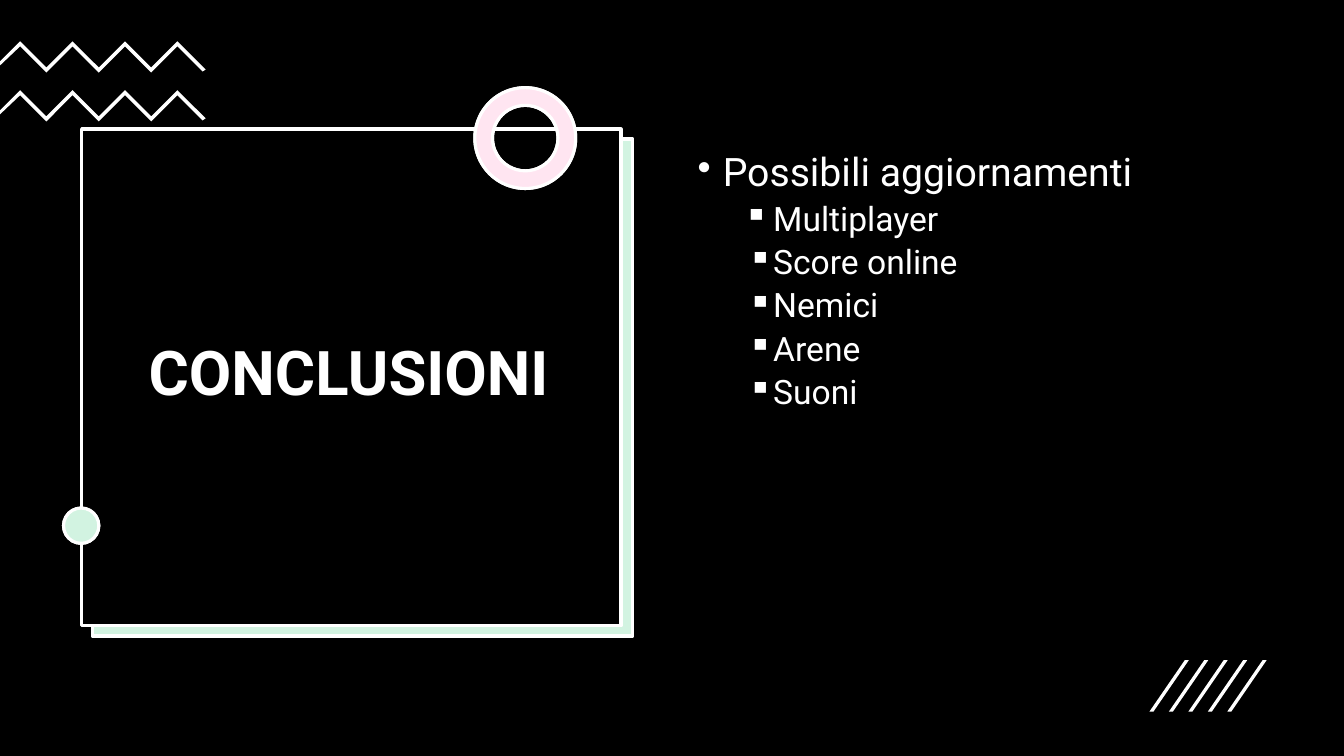
import dataclasses

import lxml.etree
import pptx
import pptx.dml.color
import pptx.enum.shapes
import pptx.enum.text
import pptx.oxml.ns
import pptx.util

SHAPE = pptx.enum.shapes.MSO_SHAPE
COLUMNS, ROWS = 133.3, 75  # grid of tenth-of-an-inch cells


@dataclasses.dataclass(frozen=True)
class Theme:
    ground: str = "000000"
    ink: str = "FFFFFF"
    green: str = "21C46B"
    pink: str = "FF80BD"
    tint_opacity: int = 20
    font: str = "Roboto"
    title_size: float = 44
    topic_size: float = 28
    item_size: float = 24
    outline: float = 2.25


THEME = Theme()


def cells(count):
    return pptx.util.Inches(count / 10)


def rgb(code):
    return pptx.dml.color.RGBColor.from_string(code)


def paint(shape, color, opacity=100, outlined=True):
    shape.shadow.inherit = False
    shape.fill.solid()
    shape.fill.fore_color.rgb = rgb(color)
    if opacity < 100:
        color_node = shape.fill._xPr.find(".//" + pptx.oxml.ns.qn("a:srgbClr"))
        alpha = lxml.etree.SubElement(color_node, pptx.oxml.ns.qn("a:alpha"))
        alpha.set("val", str(opacity * 1000))
    if outlined:
        shape.line.color.rgb = rgb(THEME.ink)
        shape.line.width = pptx.util.Pt(THEME.outline)
    else:
        shape.line.fill.background()


def add_outlined(slide, kind, box, color, opacity=100):
    shape = slide.shapes.add_shape(kind, *map(cells, box))
    paint(shape, color, opacity)
    return shape


def add_tinted(slide, kind, box, tint):
    """A white base under a translucent tint."""
    return [add_outlined(slide, kind, box, color, opacity)
            for color, opacity in ((THEME.ink, 100), (tint, THEME.tint_opacity))]


def add_outline(slide, points):
    corners = [(cells(x), cells(y)) for x, y in points]
    builder = slide.shapes.build_freeform(*corners[0])
    builder.add_line_segments(corners[1:], close=True)
    paint(builder.convert_to_shape(), THEME.ink, outlined=False)


def add_text_frame(slide, box):
    frame = slide.shapes.add_textbox(*map(cells, box)).text_frame
    frame.word_wrap = True
    return frame


def style(paragraph, size, bold=False):
    paragraph.line_spacing = 0.9
    paragraph.font.name = THEME.font
    paragraph.font.size = pptx.util.Pt(size)
    paragraph.font.bold = bold
    paragraph.font.color.rgb = rgb(THEME.ink)


def add_bullet(paragraph, mark, margin, hang):
    properties = paragraph._p.get_or_add_pPr()
    properties.set("marL", str(cells(margin)))
    properties.set("indent", str(-cells(hang)))
    bullet = lxml.etree.SubElement(properties, pptx.oxml.ns.qn("a:buChar"))
    bullet.set("char", mark)


def title_card(slide, box, title):
    left, top, width, height = box
    # Offset green card behind the black one
    add_tinted(slide, SHAPE.RECTANGLE, (left + 1.1, top + 1, width, height), THEME.green)
    add_outlined(slide, SHAPE.RECTANGLE, box, THEME.ground)
    # Pink ring on the top edge
    for ring in add_tinted(slide, SHAPE.DONUT, (left + 39, top - 4.1, 10, 10), THEME.pink):
        ring.adjustments[0] = 0.175
    # Title
    frame = add_text_frame(slide, (left + 4, top + 1, 45, 47))
    frame.vertical_anchor = pptx.enum.text.MSO_ANCHOR.MIDDLE
    heading = frame.paragraphs[0]
    heading.text = title
    heading.alignment = pptx.enum.text.PP_ALIGN.CENTER
    style(heading, THEME.title_size, bold=True)
    # Green dot on the left edge
    add_tinted(slide, SHAPE.OVAL, (left - 1.8, top + 37.6, 3.5, 3.5), THEME.green)


def zigzags(slide, left, top, count=2, pitch=4.85, step=2.6, turns=7):
    for row in range(count):
        y = top + row * pitch
        upper = [(left + 2 + step * i, y + step * (i % 2)) for i in range(turns)]
        lower = [(x, peak + 0.5) for x, peak in reversed(upper)]
        ends = [(left + 20.4, y + 2.8), (left + 20.1, y + 3)]
        add_outline(slide, upper + ends + lower + [(left, y + 2.4), (left, y + 2)])


def topic_list(slide, box, topic, items):
    frame = add_text_frame(slide, box)
    lead = frame.paragraphs[0]
    lead.text = topic
    style(lead, THEME.topic_size)
    add_bullet(lead, "•", 2.5, 2.5)
    for index, item in enumerate(items):
        entry = frame.add_paragraph()
        entry.text = item
        entry.level = 1
        entry.space_before = pptx.util.Pt(5)
        style(entry, THEME.item_size)
        add_bullet(entry, "▪", 7.5, 2.5 if index else 2.9)


def slanted_strokes(slide, box, count=5, pitch=1.93, thickness=0.4):
    left, top, width, height = box
    for stroke in range(count):
        x = left + stroke * pitch
        add_outline(slide, [(x + thickness, top + height), (x, top + height),
                            (x + width - thickness, top), (x + width, top)])


def main():
    deck = pptx.Presentation()
    deck.slide_width, deck.slide_height = cells(COLUMNS), cells(ROWS)
    slide = deck.slides.add_slide(deck.slide_layouts[6])
    slide.background.fill.solid()
    slide.background.fill.fore_color.rgb = rgb(THEME.ground)

    title_card(slide, (8.1, 12.8, 53.5, 49.3), "CONCLUSIONI")
    zigzags(slide, 0, 4.1)
    topic_list(slide, (68.2, 14.7, 57.1, 47.6), "Possibili aggiornamenti",
               ["Multiplayer", "Score online", "Nemici", "Arene", "Suoni"])
    slanted_strokes(slide, (114, 65.5, 3.9, 5.1))
    deck.save("out.pptx")


if __name__ == "__main__":
    main()
